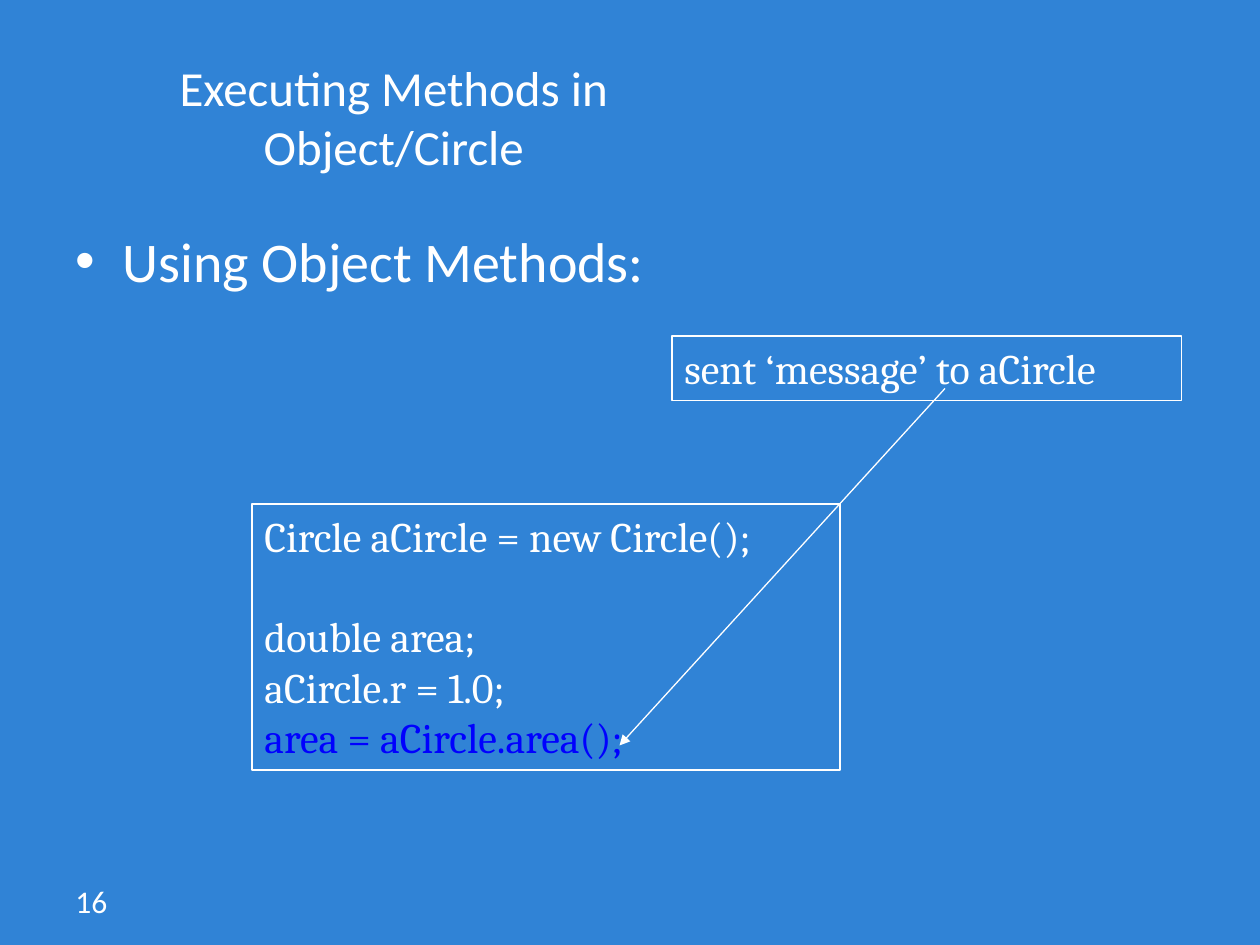
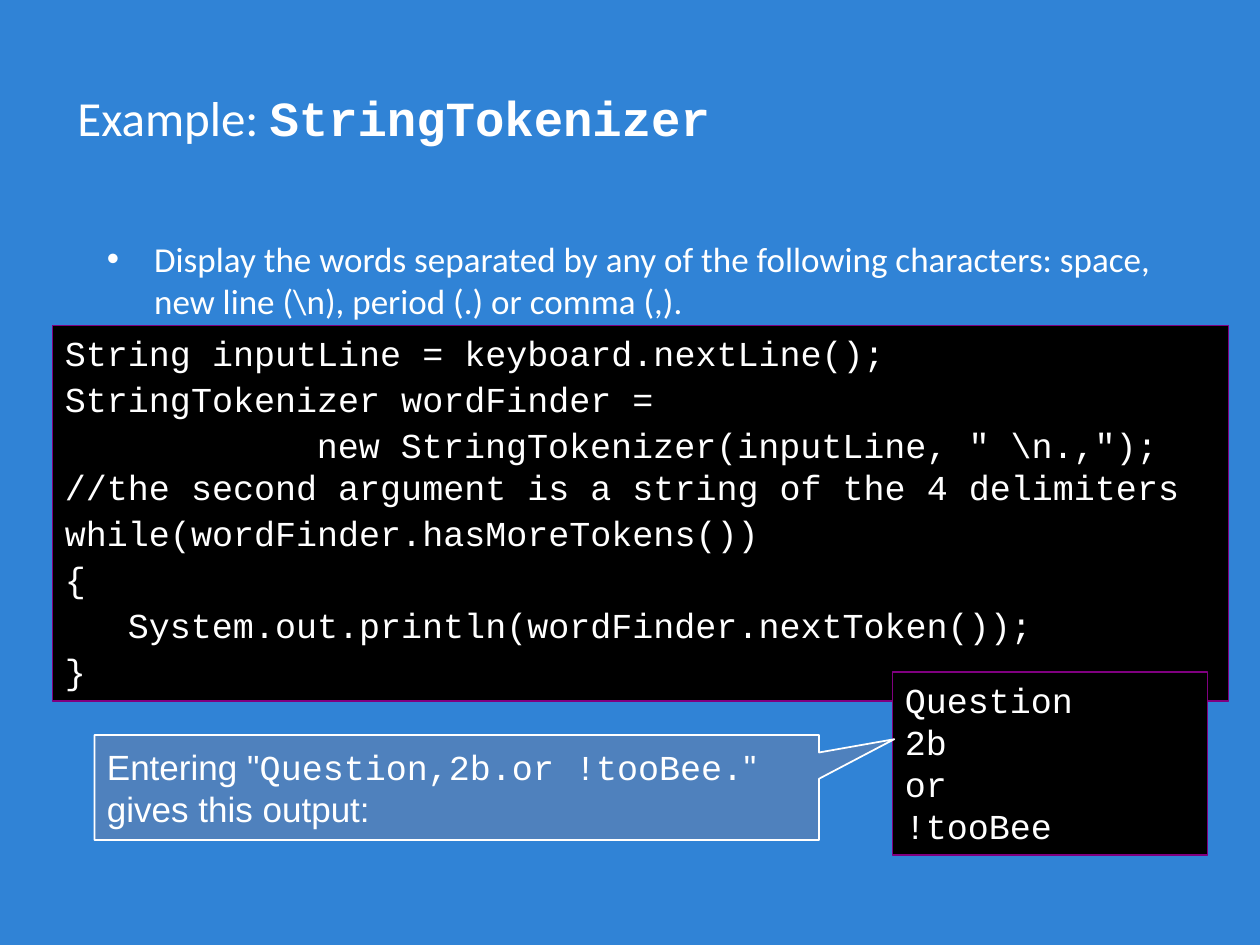
from collections import namedtuple
from lxml.etree import SubElement
from pptx import Presentation
from pptx.dml.color import RGBColor
from pptx.enum.shapes import MSO_CONNECTOR as Connector, MSO_SHAPE as Preset
from pptx.enum.text import MSO_ANCHOR as Anchor, MSO_AUTO_SIZE as AutoSize, PP_ALIGN as Align
from pptx.oxml.ns import qn
from pptx.util import Pt

Box = namedtuple("Box", "left top width height")
Style = namedtuple("Style", "font size color bold", defaults=("white", False))

COLORS = {
    "background": "3083D6",
    "white": "FFFFFF",
    "call": "0000FF",
    "console": "000000",
    "console_edge": "800080",
    "callout": "4F81BD",
}
TITLE = Style("Calibri", 28)
TITLE_CODE = Style("Courier New", 28, bold=True)
NUMBER = Style("Calibri", 18)
SNIPPET = Style("Cambria", 24)
SNIPPET_CALL = Style("Cambria", 24, "call")
CONSOLE = Style("Courier New", 20)
CALLOUT = Style("Arial", 20)

PAGE = Box(0, 0, 720, 540)
TITLE_BOX = Box(36, 21.6, 378, 90)
BULLET_INDENT = 27
CODE_CHAR = 12
CODE_GAP = 2.3


def rgb(name):
    return RGBColor.from_string(COLORS[name])


def within(outer, left, top, width, height):
    return Box(outer.left + left, outer.top + top, width, height)


def in_points(values):
    return [Pt(value) for value in values]


def add_span(para, text, style):
    span = para.add_run()
    span.text = text
    span.font.name = style.font
    span.font.size = Pt(style.size)
    span.font.bold = style.bold
    span.font.color.rgb = rgb(style.color)


def add_lines(para, lines, style):
    for index, line in enumerate(lines):
        if index:
            para.add_line_break()
        add_span(para, line, style)


def next_para(frame, index):
    para = frame.paragraphs[0] if index == 0 else frame.add_paragraph()
    para.alignment = Align.LEFT
    return para


def set_indent(para, margin, first_line):
    props = para._p.get_or_add_pPr()
    props.set("marL", str(Pt(margin)))
    props.set("indent", str(Pt(first_line)))
    return props


def prepare_frame(shape, anchor=Anchor.TOP):
    frame = shape.text_frame
    frame.word_wrap = True
    frame.auto_size = AutoSize.NONE
    frame.vertical_anchor = anchor
    return frame


def add_panel(page, box, preset=Preset.RECTANGLE, fill=None, edge="white",
              weight=1, anchor=Anchor.TOP):
    panel = page.shapes.add_shape(preset, *in_points(box))
    panel.shadow.inherit = False
    if fill:
        panel.fill.solid()
        panel.fill.fore_color.rgb = rgb(fill)
    else:
        panel.fill.background()
    panel.line.color.rgb = rgb(edge)
    panel.line.width = Pt(weight)
    return panel, prepare_frame(panel, anchor)


def add_title(page, box, spans):
    title = page.shapes.title
    title.left, title.top, title.width, title.height = in_points(box)
    para = prepare_frame(title, Anchor.MIDDLE).paragraphs[0]
    para.alignment = Align.CENTER
    for text, style in spans:
        add_span(para, text, style)


def add_bullet(page, box, text, size):
    body = page.shapes.add_textbox(*in_points(box))
    para = next_para(prepare_frame(body), 0)
    para.space_before = Pt(size * 0.2)
    props = set_indent(para, BULLET_INDENT, -BULLET_INDENT)
    SubElement(props, qn("a:buFont")).set("typeface", "Arial")
    SubElement(props, qn("a:buChar")).set("char", "•")
    add_span(para, text, Style("Calibri", size))


def add_page_number(page, box, number):
    label = page.shapes.add_textbox(*in_points(box))
    add_span(next_para(prepare_frame(label), 0), number, NUMBER)


def add_arrow(page, start, end):
    arrow = page.shapes.add_connector(Connector.STRAIGHT, *in_points(start + end))
    arrow.line.color.rgb = rgb("white")
    arrow.line.width = Pt(0.75)
    SubElement(arrow.line._ln, qn("a:tailEnd")).set("type", "triangle")
    SubElement(arrow._element.spPr, qn("a:effectLst"))


def add_snippet(page, box, lines):
    frame = add_panel(page, box, weight=0.75)[1]
    for index, (text, style, gap) in enumerate(lines):
        para = next_para(frame, index)
        para.space_before = Pt(gap)
        add_span(para, text, style)


def add_console(page, box, blocks):
    frame = add_panel(page, box, fill="console", edge="console_edge")[1]
    for index, (columns, *lines) in enumerate(blocks):
        para = next_para(frame, index)
        para.space_after = Pt(CODE_GAP)
        set_indent(para, 0, columns * CODE_CHAR)
        add_lines(para, lines, CONSOLE)


def add_callout(page, box, spans):
    callout, frame = add_panel(page, box, Preset.RECTANGULAR_CALLOUT, "callout",
                               anchor=Anchor.MIDDLE)
    callout.adjustments[0] = 0.604
    callout.adjustments[1] = -0.46
    para = next_para(frame, 0)
    para.space_after = Pt(CODE_GAP)
    for text, style in spans:
        add_span(para, text, style)


def add_page(deck, title_spans):
    page = deck.slides.add_slide(deck.slide_layouts[5])
    add_title(page, TITLE_BOX, title_spans)
    return page


def build_methods_page(deck, box):
    page = add_page(deck, [("Executing Methods in Object/Circle", TITLE)])
    add_page_number(page, within(box, 36, 500.4, 168, 28.8), "16")
    add_bullet(page, within(box, 36, 126, 648, 356.4), "Using Object Methods:", 32)
    add_snippet(page, within(box, 144, 288, 336, 152), [
        ("Circle aCircle = new Circle();", SNIPPET, 0),
        ("double area;", SNIPPET, 28.8),
        ("aCircle.r = 1.0;", SNIPPET, 0),
        ("area = aCircle.area();", SNIPPET_CALL, 0),
    ])
    add_arrow(page, (box.left + 540, box.top + 222), (box.left + 354, box.top + 426))
    add_snippet(page, within(box, 384, 192, 291, 36.7),
                [("sent ‘message’ to aCircle", SNIPPET, 0)])


def build_tokenizer_page(deck, box):
    page = add_page(deck, [("Example: ", TITLE), ("StringTokenizer", TITLE_CODE)])
    add_bullet(page, within(box, 54, 132, 612, 366),
               "Display the words separated by any of the following characters: "
               "space, new line (\\n), period (.) or comma (,).", 20)
    add_console(page, within(box, 30, 186, 672, 214.5), [
        (0, "String inputLine = keyboard.nextLine();"),
        (0, "StringTokenizer wordFinder ="),
        (12, 'new StringTokenizer(inputLine, " \\n.,");',
         "//the second argument is a string of the 4 delimiters"),
        (0, "while(wordFinder.hasMoreTokens())"),
        (0, "{"),
        (3, "System.out.println(wordFinder.nextToken());"),
        (0, "}"),
    ])
    add_console(page, within(box, 510, 384, 180, 104.4),
                [(0, "Question", "2b", "or", "!tooBee")])
    add_callout(page, within(box, 54, 420, 414, 60), [
        ('Entering "', CALLOUT),
        ("Question,2b.or !tooBee.", CONSOLE),
        ('" gives this output:', CALLOUT),
    ])


def main():
    deck = Presentation()
    deck.slide_width, deck.slide_height = Pt(PAGE.width), Pt(PAGE.height)
    backdrop = deck.slide_master.background.fill
    backdrop.solid()
    backdrop.fore_color.rgb = rgb("background")
    build_methods_page(deck, PAGE)
    build_tokenizer_page(deck, PAGE)
    deck.save("out.pptx")


if __name__ == "__main__":
    main()
